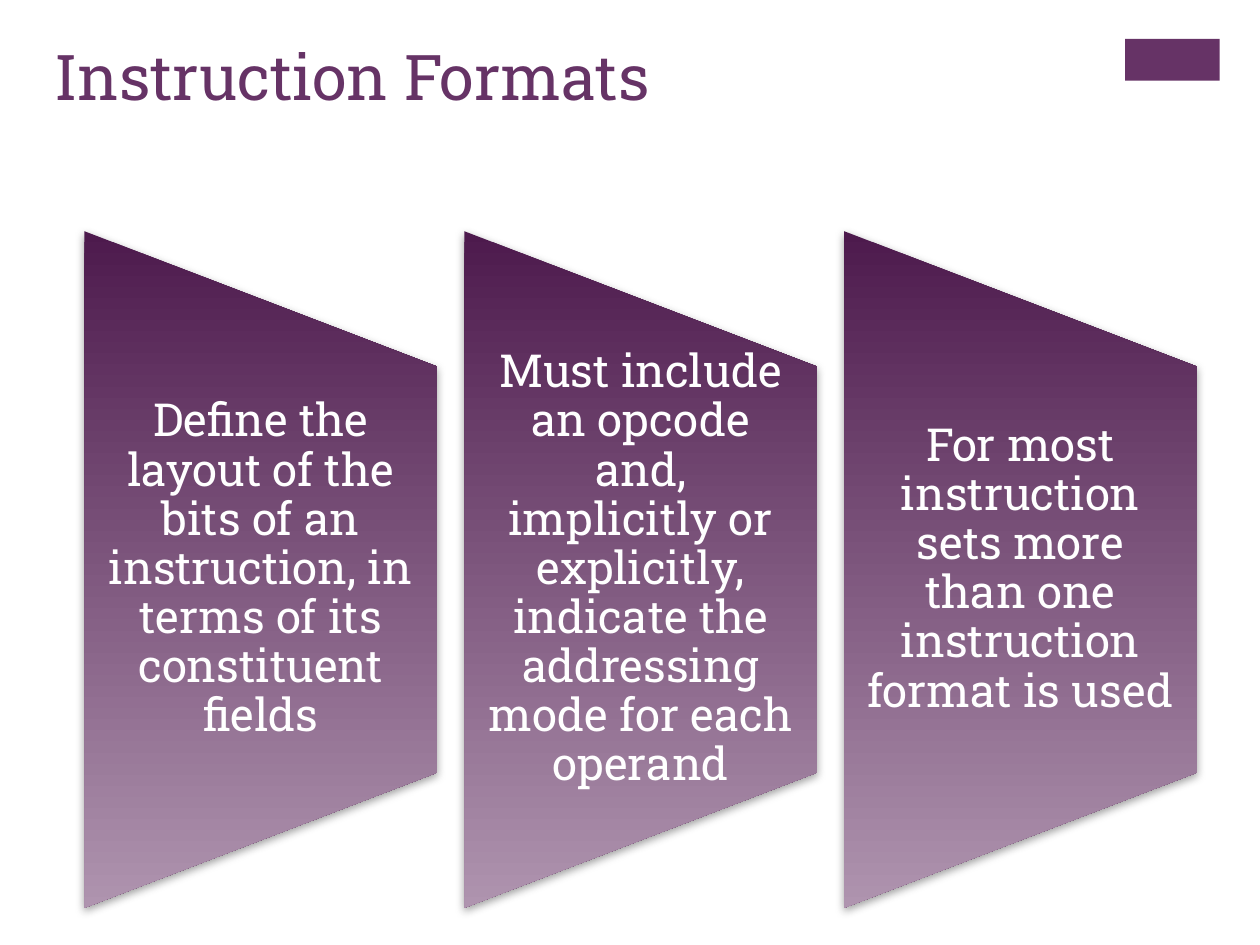
from lxml import etree
from pptx import Presentation
from pptx.dml.color import RGBColor
from pptx.enum.shapes import MSO_SHAPE
from pptx.enum.text import MSO_ANCHOR, MSO_AUTO_SIZE, PP_ALIGN
from pptx.oxml.ns import qn
from pptx.util import Inches, Pt

RECTANGLE = MSO_SHAPE.RECTANGLE
TRAPEZOID = MSO_SHAPE.FLOWCHART_MANUAL_OPERATION
TOP, MIDDLE = MSO_ANCHOR.TOP, MSO_ANCHOR.MIDDLE
LEFT, CENTER = PP_ALIGN.LEFT, PP_ALIGN.CENTER
NO_FIT = MSO_AUTO_SIZE.NONE

PURPLE = RGBColor(0x66, 0x33, 0x66)
DARK = RGBColor(0x4D, 0x1A, 0x4D)
LIGHT = RGBColor(0xAF, 0x94, 0xAF)
GRAY = RGBColor(0x80, 0x80, 0x80)
WHITE = RGBColor(0xFF, 0xFF, 0xFF)

PANEL_LEFT, PANEL_RIGHT = 0.67, 9.5
PANEL_WIDTH, PANEL_HEIGHT = 2.8, 5.37
PANEL_MIDDLE = 4.52
TEXT_HEIGHT = 3.22

STATEMENTS = [
    "Define the layout of the bits of an instruction, in terms of its constituent fields",
    "Must include an opcode and, implicitly or explicitly, indicate the addressing mode for each operand",
    "For most instruction sets more than one instruction format is used",
]


class SlideBuilder:
    font = "Roboto Slab"

    def __init__(self, page):
        self.page = page

    def add_text(self, frame, text, size, color, align, anchor):
        frame.word_wrap = True
        frame.auto_size = NO_FIT
        frame.vertical_anchor = anchor
        para = frame.paragraphs[0]
        para.alignment = align
        span = para.add_run()
        span.text = text
        span.font.name = self.font
        span.font.size = Pt(size)
        span.font.color.rgb = color
        return para

    def title(self, text, left, top, width, height):
        box = self.page.shapes.title
        box.left, box.top = Inches(left), Inches(top)
        box.width, box.height = Inches(width), Inches(height)
        self.add_text(box.text_frame, text, 36, PURPLE, LEFT, TOP)

    def shape(self, kind, left, top, width, height):
        shape = self.page.shapes.add_shape(
            kind, Inches(left), Inches(top), Inches(width), Inches(height))
        shape.shadow.inherit = False
        shape.line.fill.background()
        return shape

    def accent(self, left, top, width, height):
        block = self.shape(RECTANGLE, left, top, width, height)
        block.fill.solid()
        block.fill.fore_color.rgb = PURPLE

    def soft_shadow(self, shape):
        effects = shape._element.spPr.find(qn("a:effectLst"))
        shadow = etree.SubElement(
            effects, qn("a:outerShdw"), blurRad=str(Pt(5)), dist=str(Pt(2)),
            dir="5400000", algn="ctr", rotWithShape="0")
        color = etree.SubElement(shadow, qn("a:srgbClr"), val=str(GRAY))
        etree.SubElement(color, qn("a:alpha"), val="75000")

    def panel(self, left):
        panel = self.shape(
            TRAPEZOID,
            left + (PANEL_WIDTH - PANEL_HEIGHT) / 2,
            PANEL_MIDDLE - PANEL_WIDTH / 2,
            PANEL_HEIGHT, PANEL_WIDTH)
        panel.rotation = 270
        panel.fill.gradient()
        panel.fill.gradient_angle = 270
        for stop, color in zip(panel.fill.gradient_stops, (DARK, LIGHT)):
            stop.color.rgb = color
        panel._element.spPr.find(qn("a:gradFill")).set("rotWithShape", "0")
        self.soft_shadow(panel)

    def statement(self, text, left):
        box = self.page.shapes.add_textbox(
            Inches(left), Inches(PANEL_MIDDLE - TEXT_HEIGHT / 2),
            Inches(PANEL_WIDTH), Inches(TEXT_HEIGHT))
        frame = box.text_frame
        frame.margin_left = frame.margin_right = Inches(0.18)
        frame.margin_top = frame.margin_bottom = 0
        para = self.add_text(frame, text, 26, WHITE, CENTER, MIDDLE)
        para.line_spacing = 0.9


def main():
    deck = Presentation()
    deck.slide_width, deck.slide_height = Inches(10), Inches(7.5)
    builder = SlideBuilder(deck.slides.add_slide(deck.slide_layouts[5]))
    builder.accent(8.93, 0.31, 0.75, 0.33)
    builder.title("Instruction Formats", 0.33, 0.25, 8.26, 1.22)
    pitch = (PANEL_RIGHT - PANEL_WIDTH - PANEL_LEFT) / (len(STATEMENTS) - 1)
    for index, text in enumerate(STATEMENTS):
        left = PANEL_LEFT + index * pitch
        builder.panel(left)
        builder.statement(text, left)
    deck.save("out.pptx")


if __name__ == "__main__":
    main()
